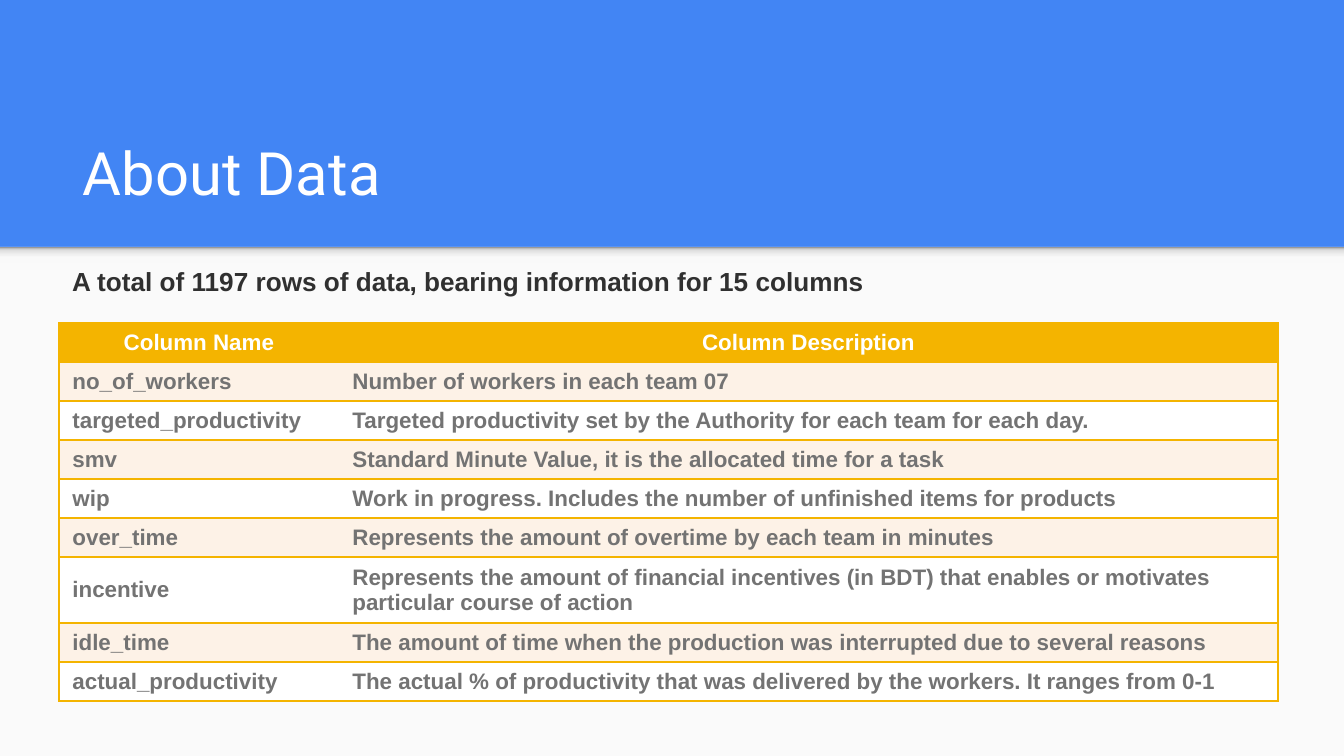
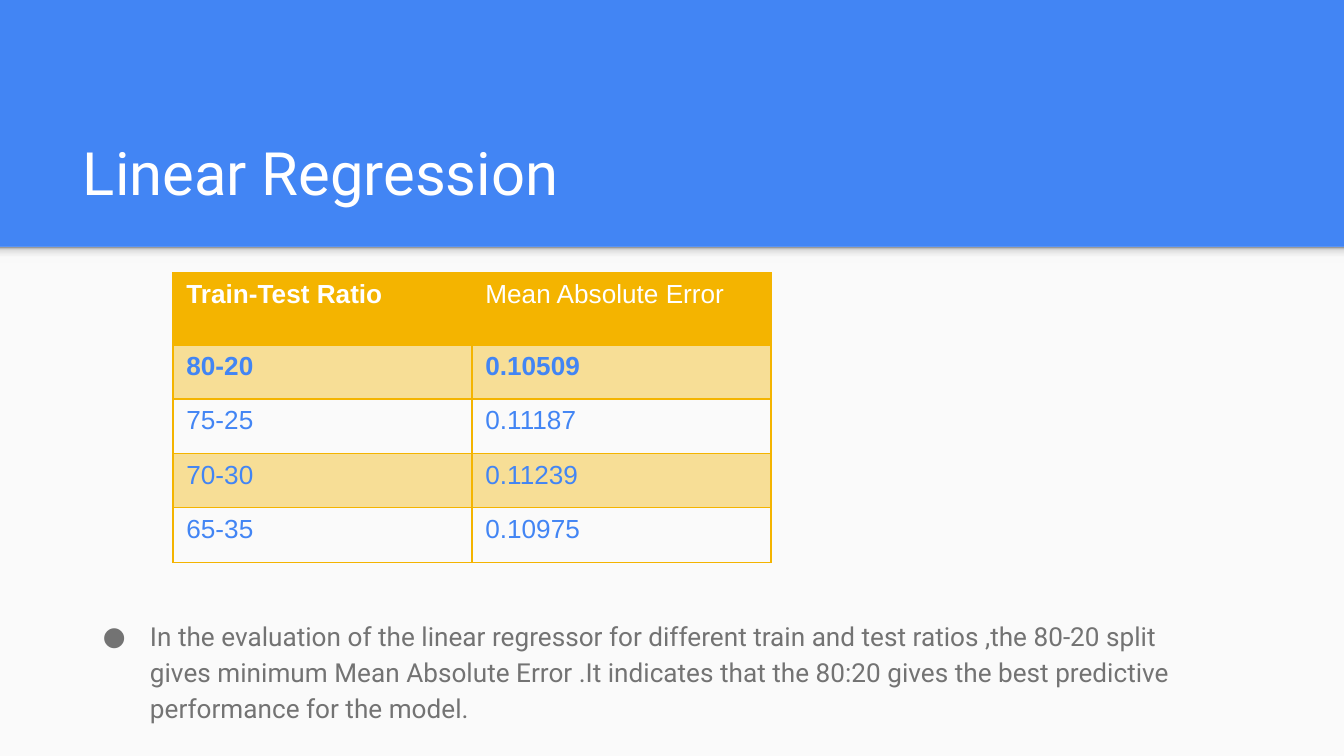
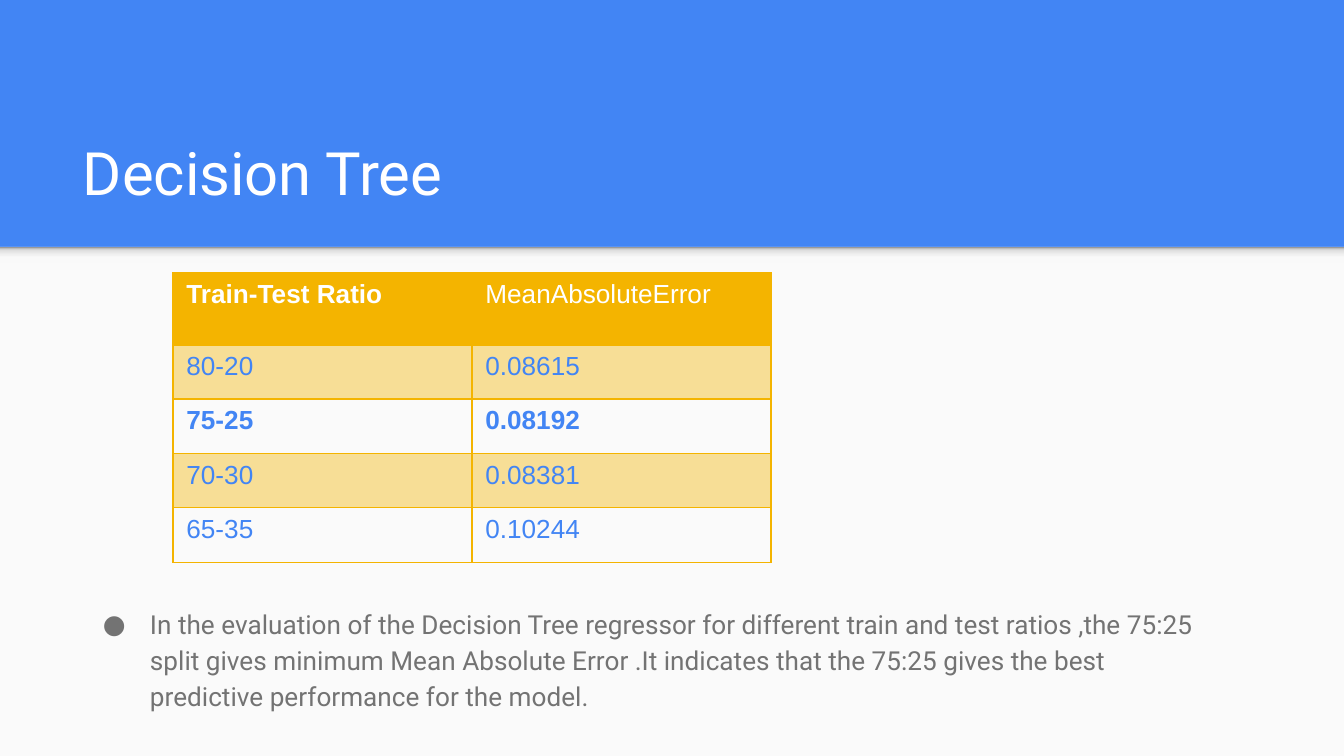
from dataclasses import dataclass

from lxml import etree
from pptx import Presentation
from pptx.dml.color import RGBColor
from pptx.enum.shapes import MSO_SHAPE
from pptx.enum.text import MSO_ANCHOR, PP_ALIGN
from pptx.oxml.ns import qn
from pptx.util import Emu, Pt

RECT = MSO_SHAPE.RECTANGLE
TOP, MIDDLE, BOTTOM = MSO_ANCHOR.TOP, MSO_ANCHOR.MIDDLE, MSO_ANCHOR.BOTTOM
LEFT, CENTER = PP_ALIGN.LEFT, PP_ALIGN.CENTER

SCALE = 914400 / 134.4
WIDTH, HEIGHT = 1344, 756
BAND = 247
INSET = 13
COLORS = {
    "blue": "4285F4", "gold": "F4B400", "cream": "FDF2E7", "white": "FFFFFF",
    "page": "FAFAFA", "gray": "737373", "dark": "303030",
}
SHADE = ((0, "F9F9F9"), (36, "F9F9F9"), (80, "DEDEDE"), (100, "999999"))


@dataclass(frozen=True)
class Box:
    x: int
    y: int
    w: int
    h: int


@dataclass(frozen=True)
class Model:
    title: str
    error: str
    scores: tuple[str, ...]
    best: int
    note: str
    box: Box


TITLE = Box(70, 108, 1208, 113)
INTRO = Box(59, 258, 1054, 46)
RATIOS = ("80-20", "75-25", "70-30", "65-35")
HEADS = ("Column Name", "Column Description")
FIELDS = (
    ("no_of_workers", "Number of workers in each team 07"),
    ("targeted_productivity",
     "Targeted productivity set by the Authority for each team for each day."),
    ("smv", "Standard Minute Value, it is the allocated time for a task"),
    ("wip", "Work in progress. Includes the number of unfinished items for products"),
    ("over_time", "Represents the amount of overtime by each team in minutes"),
    ("incentive", "Represents the amount of financial incentives (in BDT) that enables "
     "or motivates particular course of action"),
    ("idle_time",
     "The amount of time when the production was interrupted due to several reasons"),
    ("actual_productivity",
     "The actual % of productivity that was delivered by the workers. It ranges from 0-1"),
)
MODELS = (
    Model("Linear Regression", "Mean Absolute Error",
          ("0.10509", "0.11187", "0.11239", "0.10975"), 0,
          "In the evaluation of the linear regressor for different train and test ratios "
          ",the 80-20 split gives minimum Mean Absolute Error .It indicates that the 80:20 "
          "gives the best predictive performance for the model.",
          Box(70, 603, 1153, 128)),
    Model("Decision Tree", "MeanAbsoluteError",
          ("0.08615", "0.08192", "0.08381", "0.10244"), 1,
          "In the evaluation of the Decision Tree regressor for different train and test "
          "ratios ,the 75:25 split gives minimum Mean Absolute Error .It indicates that the "
          "75:25 gives the best predictive performance for the model.",
          Box(70, 591, 1153, 133)),
)


def px(size: int) -> Emu:
    return Emu(round(size * SCALE))


def place(box: Box) -> tuple[Emu, ...]:
    return px(box.x), px(box.y), px(box.w), px(box.h)


def rgb(name: str) -> RGBColor:
    return RGBColor.from_string(COLORS[name])


def tint(parent, color: str):
    return etree.SubElement(parent, qn("a:srgbClr"), val=color)


def write(frame, text: str, *, size: int = 14, font: str = "Arial", color: str = "gray",
          bold: bool = False, align=LEFT, bullet: str = "", spacing: float = 1.0) -> None:
    para = frame.paragraphs[0]
    para.alignment = align
    para.line_spacing = spacing
    if bullet:
        props = para._p.get_or_add_pPr()
        props.set("marL", str(px(67)))
        props.set("indent", str(px(-47)))
        tint(etree.SubElement(props, qn("a:buClr")), COLORS[color])
        etree.SubElement(props, qn("a:buFont"), typeface=font)
        etree.SubElement(props, qn("a:buChar"), char=bullet)
    run = para.add_run()
    run.text = text
    run.font.name, run.font.size, run.font.bold = font, Pt(size), bold
    run.font.color.rgb = rgb(color)


def label(slide, box: Box, text: str, *, anchor=TOP, inset: int = INSET, **style) -> None:
    frame = slide.shapes.add_textbox(*place(box)).text_frame
    frame.word_wrap = True
    frame.vertical_anchor = anchor
    frame.margin_left = frame.margin_right = px(INSET)
    frame.margin_top = frame.margin_bottom = px(inset)
    write(frame, text, **style)


def panel(slide, box: Box):
    shape = slide.shapes.add_shape(RECT, *place(box))
    shape.shadow.inherit = False
    shape.line.fill.background()
    return shape


def start(deck, title: str):
    """Add a slide with the blue band, the shaded edge and the title."""
    slide = deck.slides.add_slide(deck.slide_layouts[6])
    slide.background.fill.solid()
    slide.background.fill.fore_color.rgb = rgb("blue")
    page = panel(slide, Box(0, BAND, WIDTH, HEIGHT - BAND))
    page.fill.solid()
    page.fill.fore_color.rgb = rgb("page")
    edge = panel(slide, Box(0, BAND, WIDTH, 16))
    edge.fill.gradient()
    edge.fill.gradient_angle = 90
    stops = edge._element.spPr.find(".//" + qn("a:gsLst"))
    for stop in list(stops):
        stops.remove(stop)
    for at, color in SHADE:
        tint(etree.SubElement(stops, qn("a:gs"), pos=str(at * 1000)), color)
    label(slide, TITLE, title, anchor=BOTTOM, size=32, font="Roboto", color="white")
    return slide


def border(cell, sides: str, width: float) -> None:
    """Draw gold lines on the given sides and clear the others."""
    props = cell._tc.get_or_add_tcPr()
    for side in "LRTB":
        line = etree.SubElement(props, qn(f"a:ln{side}"), w=str(Pt(width)))
        if side in sides:
            tint(etree.SubElement(line, qn("a:solidFill")), COLORS["gold"])
        else:
            etree.SubElement(line, qn("a:noFill"))


def paint(cell, color: str, alpha: int = 100) -> None:
    if not color:
        cell.fill.background()
        return
    cell.fill.solid()
    cell.fill.fore_color.rgb = rgb(color)
    if alpha < 100:
        mark = cell._tc.tcPr.find(qn("a:solidFill")).find(qn("a:srgbClr"))
        etree.SubElement(mark, qn("a:alpha"), val=str(alpha * 1000))


def grid(slide, x: int, y: int, cols: tuple[int, ...], rows: tuple[int, ...]):
    box = Box(x, y, sum(cols), sum(rows))
    table = slide.shapes.add_table(len(rows), len(cols), *place(box)).table
    table.first_row = table.horz_banding = False
    for col, width in zip(table.columns, cols):
        col.width = px(width)
    for row, height in zip(table.rows, rows):
        row.height = px(height)
    return table


def about(deck) -> None:
    slide = start(deck, "About Data")
    lines = (HEADS, *FIELDS)
    rows = tuple(63 if name == "incentive" else 39 for name, _ in lines)
    table = grid(slide, 59, 323, (280, 939), rows)
    for r, line in enumerate(lines):
        head = r == 0
        for c, text in enumerate(line):
            cell = table.cell(r, c)
            cell.vertical_anchor = MIDDLE
            cell.margin_top = cell.margin_bottom = px(6)
            border(cell, "LTB" if c == 0 else "RTB", 1)
            paint(cell, "gold" if head else "cream" if r % 2 else "white")
            write(cell.text_frame, text, size=12, bold=True,
                  color="white" if head else "gray", align=CENTER if head else LEFT)
    label(slide, INTRO, "A total of 1197 rows of data, bearing information for 15 columns",
          inset=7, color="dark", bold=True)


def report(deck, model: Model) -> None:
    slide = start(deck, model.title)
    label(slide, model.box, model.note, font="Roboto", bullet="●", spacing=1.15)
    table = grid(slide, 173, 273, (299, 299), (72, 54, 55, 54, 55))
    lines = (("Train-Test Ratio", model.error), *zip(RATIOS, model.scores))
    for r, line in enumerate(lines):
        head = r == 0
        for c, text in enumerate(line):
            cell = table.cell(r, c)
            border(cell, "LRTB", 0.75)
            paint(cell, "gold" if head or r % 2 else "", 100 if head else 40)
            write(cell.text_frame, text, color="white" if head else "blue",
                  bold=c == 0 if head else r == model.best + 1)


def main() -> None:
    deck = Presentation()
    deck.slide_width, deck.slide_height = px(WIDTH), px(HEIGHT)
    about(deck)
    for model in MODELS:
        report(deck, model)
    deck.save("out.pptx")


if __name__ == "__main__":
    main()
